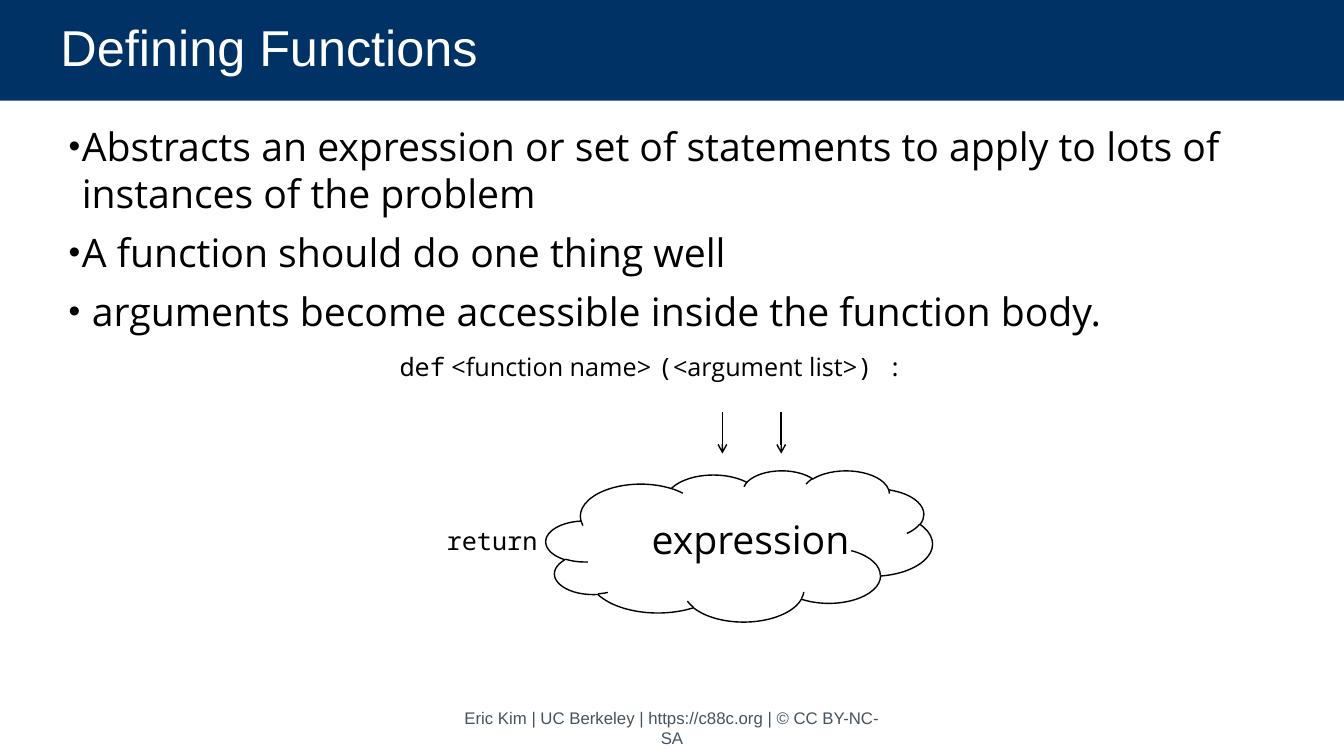
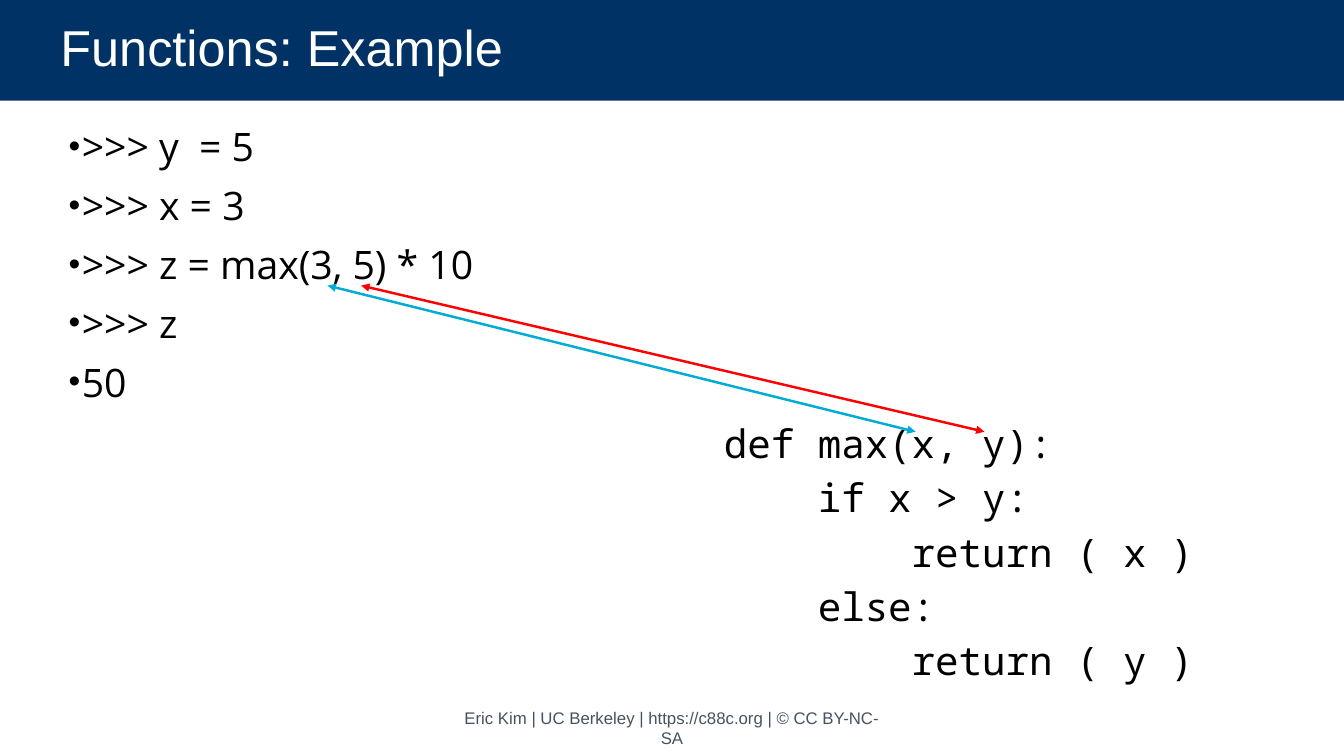
from dataclasses import dataclass
from lxml import etree
from pptx import Presentation, util as u
from pptx.dml.color import RGBColor
from pptx.enum import shapes, text
from pptx.oxml.ns import qn

COLS, ROWS = 160, 90
CELL = u.Inches(1) // 12


@dataclass(frozen=True)
class Theme:
    navy: str = "003265"
    white: str = "FFFFFF"
    black: str = "000000"
    slate: str = "46535E"
    cyan: str = "00ACD5"
    red: str = "FF0000"
    head: str = "Arial"
    sans: str = "Open Sans"
    mono: str = "Noto Sans Mono"
    title: int = 36
    body: int = 28
    label: int = 18
    foot: int = 12


T = Theme()
FOOTER = "Eric Kim | UC Berkeley | https://c88c.org | © CC BY-NC-SA"


def grid(*cells):
    return [round(c * CELL) for c in cells]


def rgb(code):
    return RGBColor.from_string(code)


def child(node, tag, **attrs):
    return etree.SubElement(node, qn(tag), attrs)


def add_bullet(par):
    props = par._p.get_or_add_pPr()
    indent = u.Inches(0.13)
    props.set("marL", str(indent))
    props.set("indent", str(-indent))
    child(props, "a:buSzPct", val="85000")
    child(props, "a:buFont", typeface=T.head)
    child(props, "a:buChar", char="•")


def write(shape, lines, font=T.sans, size=T.body, color=T.black, align=None,
          anchor=text.MSO_ANCHOR.TOP, wrap=True, bullet=False, lead=None, gap=None):
    """Fill a shape; each line is a string or a list of (string, font) runs."""
    frame = shape.text_frame
    frame.word_wrap = wrap
    frame.vertical_anchor = anchor
    if not wrap:
        frame.auto_size = text.MSO_AUTO_SIZE.SHAPE_TO_FIT_TEXT
    for i, line in enumerate(lines):
        par = frame.add_paragraph() if i else frame.paragraphs[0]
        par.alignment = align
        par.line_spacing = lead
        par.space_before = gap
        if bullet:
            add_bullet(par)
        for words, face in [(line, font)] if isinstance(line, str) else line:
            run = par.add_run()
            run.text = words
            run.font.name = face
            run.font.size = u.Pt(size)
            run.font.color.rgb = rgb(color)
    return frame


def add_text(slide, box, lines, **style):
    return write(slide.shapes.add_textbox(*grid(*box)), lines, **style)


def add_shape(slide, kind, box, fill=None, line=None):
    shape = slide.shapes.add_shape(kind, *grid(*box))
    shape.shadow.inherit = False
    if fill:
        shape.fill.solid()
        shape.fill.fore_color.rgb = rgb(fill)
    else:
        shape.fill.background()
    if line:
        shape.line.color.rgb = rgb(line)
        shape.line.width = u.Pt(1)
    else:
        shape.line.fill.background()
    return shape


def add_arrow(slide, start, end, color=T.black, width=1, head=None, tail="arrow"):
    link = slide.shapes.add_connector(shapes.MSO_CONNECTOR.STRAIGHT,
                                      *grid(*start, *end))
    link.line.color.rgb = rgb(color)
    link.line.width = u.Pt(width)
    line = link.line._get_or_add_ln()
    for tag, kind in (("a:headEnd", head), ("a:tailEnd", tail)):
        if kind:
            child(line, tag, type=kind)
    child(link._element.spPr, "a:effectLst")


def add_page(deck, title, points):
    """Start a slide with its title band, bullet list and footer."""
    slide = deck.slides.add_slide(deck.slide_layouts[6])
    band = add_shape(slide, shapes.MSO_SHAPE.RECTANGLE, (0, 0, COLS, 12), T.navy)
    frame = write(band, [title], font=T.head, size=T.title, color=T.white,
                  align=text.PP_ALIGN.LEFT, anchor=text.MSO_ANCHOR.MIDDLE, lead=0.9)
    frame.margin_left, frame.margin_right = u.Inches(0.6), u.Inches(1)
    add_text(slide, (7, 14, 147.2, 69), points, bullet=True, gap=u.Pt(0.3 * T.body))
    add_text(slide, (53, 84.2, 54, 4.8), [FOOTER], font=T.head, size=T.foot,
             color=T.slate, align=text.PP_ALIGN.CENTER,
             anchor=text.MSO_ANCHOR.MIDDLE)
    return slide


def draw_cloud(slide, left, top):
    """Show a function as a cloud, with its signature above and result beside."""
    add_text(slide, (left + 11.4, top + 4.8, 26.2, 6.8), ["expression"], wrap=False)
    add_shape(slide, shapes.MSO_SHAPE.CLOUD, (left, top, 46, 18), line=T.black)
    header = [("def", T.mono), (" <function name> ", T.sans), ("(", T.mono),
              ("<argument list>", T.sans), (") :", T.mono)]
    add_text(slide, (left - 18.6, top - 14.8, 64.6, 4.8), [header],
             size=T.label, wrap=False)
    add_text(slide, (left - 13, top + 6, 13.3, 4.8), ["return"],
             font=T.mono, size=T.label, wrap=False)
    for x in (left + 21, left + 28):
        add_arrow(slide, (x, top - 7), (x, top - 2))


def draw_code(slide, left, top):
    """Show the code, with arrows from its parameters to the call."""
    code = ["def max(x, y):", "    if x > y:", "        return ( x )",
            "    else:", "        return ( y )"]
    add_text(slide, (left, top, COLS - left, 34.2), code, font=T.mono,
             lead=0.9, gap=u.Pt(0.3 * T.body))
    for arg, param, color in ((-46, 24, T.cyan), (-42, 32.2, T.red)):
        add_arrow(slide, (left + arg, top - 16), (left + param, top + 1.4),
                  color, 1.75, "triangle", "triangle")


def main():
    deck = Presentation()
    deck.slide_width, deck.slide_height = grid(COLS, ROWS)
    define = add_page(deck, "Defining Functions", [
        "Abstracts an expression or set of statements to apply to lots of "
        "instances of the problem",
        "A function should do one thing well",
        " arguments become accessible inside the function body."])
    draw_cloud(define, 65, 56)
    example = add_page(deck, "Functions: Example", [
        ">>> y  = 5", ">>> x = 3", ">>> z = max(3, 5) * 10", ">>> z", "50"])
    draw_code(example, 85, 50)
    deck.save("out.pptx")


if __name__ == "__main__":
    main()
